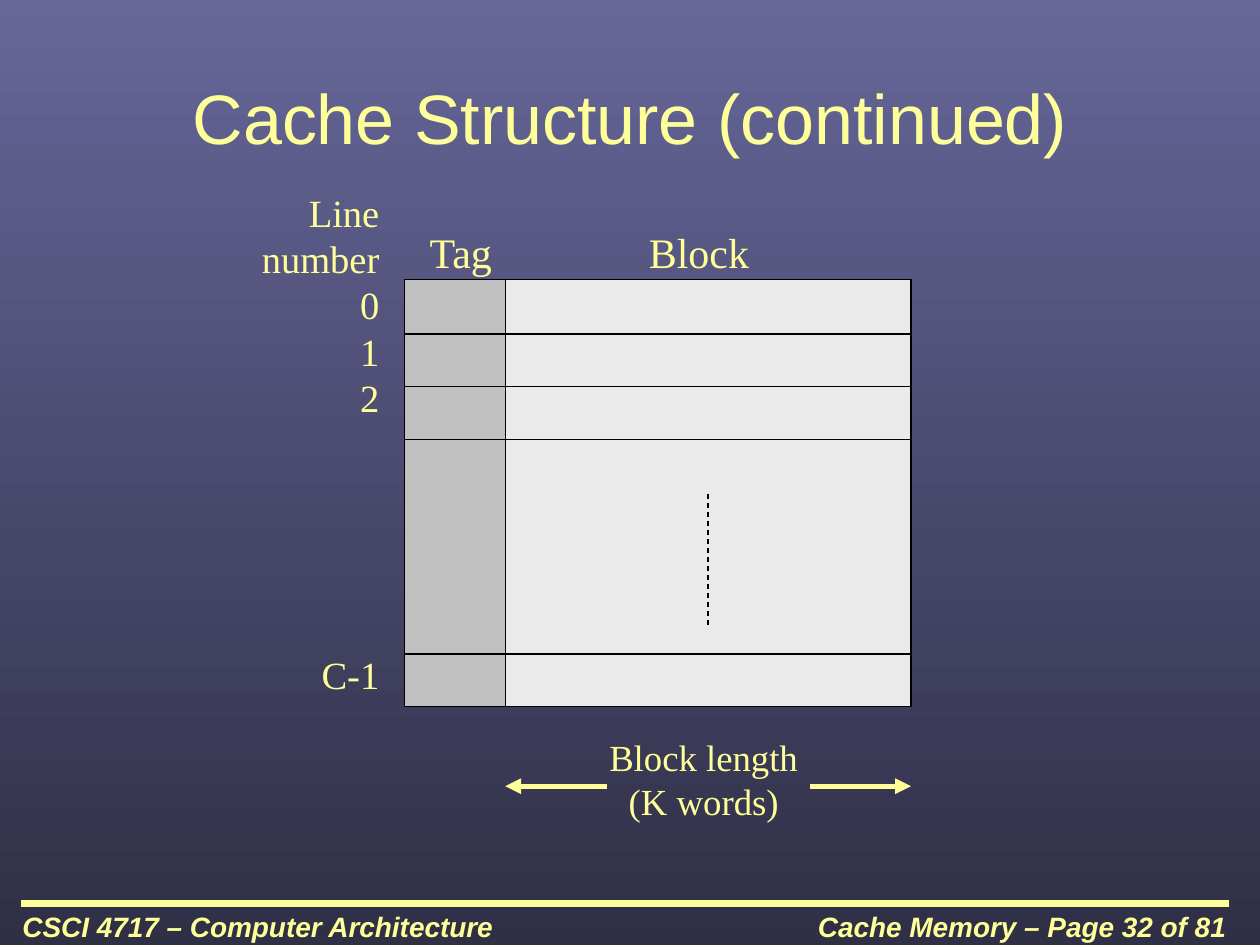
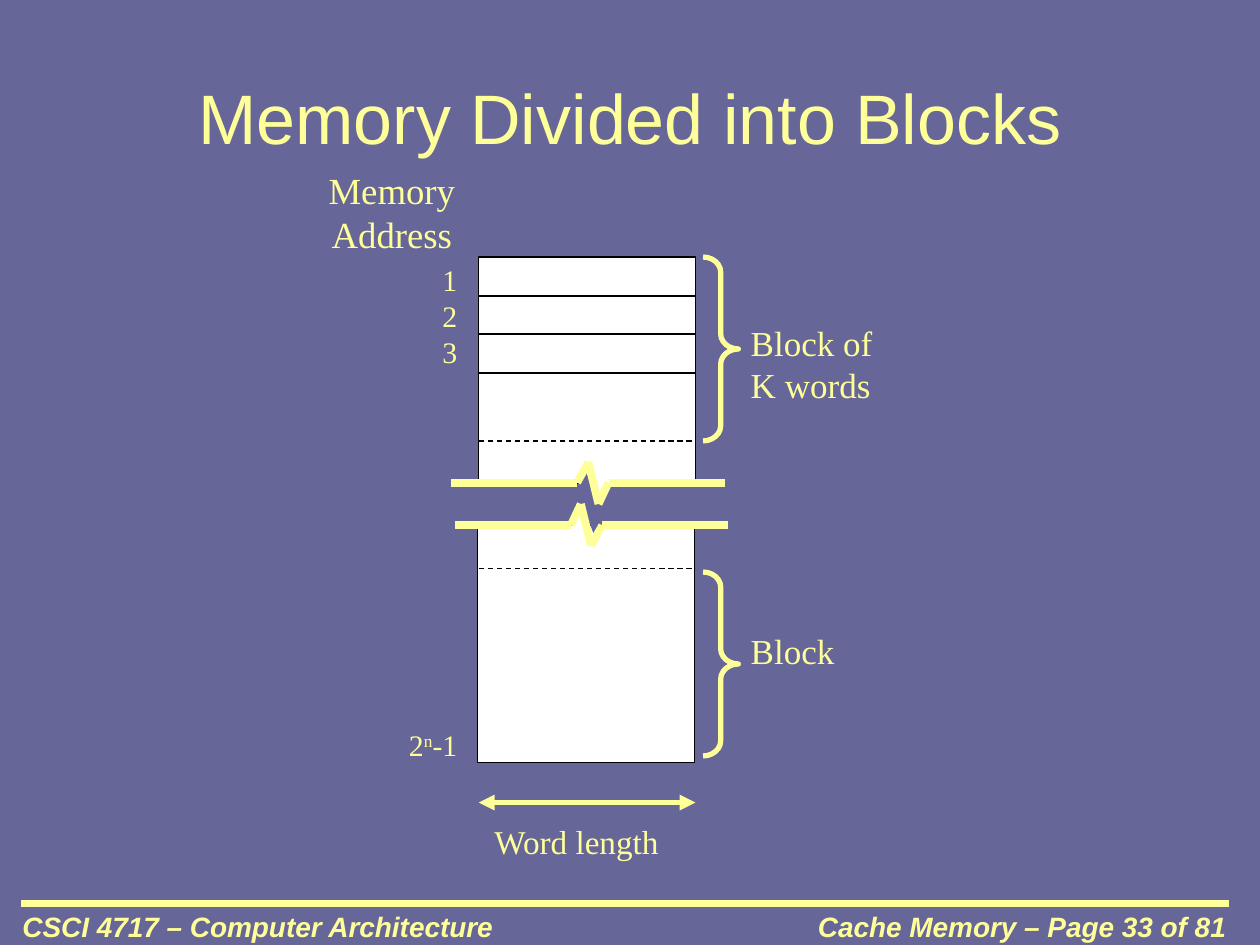
from lxml import etree
from pptx import Presentation
from pptx.dml.color import RGBColor
from pptx.enum import dml, shapes, text
from pptx.oxml.ns import qn
from pptx.util import Inches, Pt

COLORS = {
    "ink": "FFFF99",
    "back": "666699",
    "back_dark": "2F2F46",
    "edge": "000000",
    "tag": "C0C0C0",
    "block": "EAEAEA",
    "memory": "FFFFFF",
}
SERIF, SANS = "Times New Roman", "Arial"
LEFT, CENTER, RIGHT = text.PP_ALIGN.LEFT, text.PP_ALIGN.CENTER, text.PP_ALIGN.RIGHT
LINE_PITCH = 1.2
RGB = {name: RGBColor.from_string(value) for name, value in COLORS.items()}


def add_text(page, words, at, size, font=SERIF, align=LEFT, inset=(0, 0),
             anchor=text.MSO_ANCHOR.TOP, strong=False):
    """Add one paragraph per line; words after '^' up to the next '^' are raised."""
    box = page.shapes.add_textbox(*map(Inches, at))
    frame = box.text_frame
    frame.word_wrap = True
    frame.vertical_anchor = anchor
    frame.margin_left = frame.margin_right = Inches(inset[0])
    frame.margin_top = frame.margin_bottom = Inches(inset[1])
    for row, line in enumerate(words.split("\n")):
        para = frame.paragraphs[0] if row == 0 else frame.add_paragraph()
        para.alignment = align
        para.line_spacing = Pt(LINE_PITCH * size)
        for part, piece in enumerate(line.split("^")):
            span = para.add_run()
            span.text = piece
            span.font.name = font
            span.font.size = Pt(size)
            span.font.color.rgb = RGB["ink"]
            if strong:
                span.font.bold = span.font.italic = True
            if part % 2:
                span.font._element.set("baseline", "30000")


def add_line(page, start, end, color="edge", width=0.75, dashed=False, arrows=()):
    """Draw a straight line; arrows may name headEnd and tailEnd."""
    line = page.shapes.add_connector(
        shapes.MSO_CONNECTOR.STRAIGHT, *map(Inches, (*start, *end)))
    line.line.color.rgb = RGB[color]
    line.line.width = Pt(width)
    if dashed:
        line.line.dash_style = dml.MSO_LINE.DASH
    properties = line._element.spPr
    for arrow in arrows:
        etree.SubElement(properties.find(qn("a:ln")), qn("a:" + arrow), type="triangle")
    etree.SubElement(properties, qn("a:effectLst"))


deck = Presentation()
deck.slide_width, deck.slide_height = Inches(10), Inches(7.5)

# Title, footer rule and footer texts of every page
pages = []
for number, title in ((32, "Cache Structure (continued)"), (33, "Memory Divided into Blocks")):
    page = deck.slides.add_slide(deck.slide_layouts[6])
    pages.append(page)
    add_line(page, (0.17, 7.17), (9.75, 7.17), color="ink", width=4)
    for left, words, align in ((4.75, f"Cache Memory – Page {number} of 81", RIGHT),
                               (0.08, "CSCI 4717 – Computer Architecture", LEFT)):
        add_text(page, words, (left, 7.17, 5.08, 0.33), 16, font=SANS, align=align,
                 inset=(0.1, 0.05), strong=True)
    add_text(page, title, (0.5, 0.3, 9, 1.25), 40, font=SANS, align=CENTER,
             inset=(0.1, 0.05), anchor=text.MSO_ANCHOR.MIDDLE)
cache, memory = pages

# Backgrounds
fade = cache.background.fill
fade.gradient()
fade.gradient_angle = 270
for stop, position, color in zip(fade.gradient_stops, (0, 1), ("back", "back_dark")):
    stop.position = position
    stop.color.rgb = RGB[color]
memory.background.fill.solid()
memory.background.fill.fore_color.rgb = RGB["back"]

# Cache columns and the two halves of memory
for page, at, color in (
    (cache, (3.21, 2.22, 0.81, 3.39), "tag"),
    (cache, (4.01, 2.22, 3.22, 3.39), "block"),
    (memory, (3.79, 4.17, 1.72, 1.88), "memory"),
    (memory, (3.8, 2.04, 1.72, 1.8), "memory"),
):
    area = page.shapes.add_shape(shapes.MSO_SHAPE.RECTANGLE, *map(Inches, at))
    area.shadow.inherit = False
    area.fill.solid()
    area.fill.fore_color.rgb = RGB[color]
    area.line.color.rgb = RGB["edge"]
    area.line.width = Pt(0.75)

# Cache structure: rows, labels and block length
for y in (2.65, 3.07, 3.49, 5.19):
    add_line(cache, (3.21, y), (7.23, y))
add_line(cache, (5.62, 3.92), (5.62, 4.97), dashed=True)
add_text(cache, "Line\nnumber\n0\n1\n2", (2, 1.5, 1.01, 1.85), 22, align=RIGHT)
add_text(cache, "C-1", (2, 5.17, 1.01, 0.37), 22, align=RIGHT)
add_text(cache, "Tag", (3.41, 1.8, 0.8, 0.4), 24)
add_text(cache, "Block", (5.15, 1.8, 1.2, 0.4), 24)
add_text(cache, "Block length\n(K words)", (4, 5.83, 3.17, 0.85), 21, align=CENTER)
for inner, outer in ((4.82, 4.01), (6.43, 7.23)):
    add_line(cache, (inner, 6.24), (outer, 6.24), color="ink", width=3, arrows=["tailEnd"])

# Memory: words, block limits and labels
for y, dashed in ((2.35, False), (2.65, False), (2.96, False), (3.5, True), (4.51, True)):
    add_line(memory, (3.8, y), (5.52, y), dashed=dashed)
for top in (2.04, 4.54):
    brace = memory.shapes.add_shape(
        shapes.MSO_SHAPE.RIGHT_BRACE, *map(Inches, (5.58, top, 0.28, 1.46)))
    brace.shadow.inherit = False
    brace.adjustments[0] = 0.43
    brace.fill.background()
    brace.line.color.rgb = RGB["ink"]
    brace.line.width = Pt(3)
add_text(memory, "Block of\nK words", (5.86, 2.5, 1.72, 0.77), 20, inset=(0.1, 0.05))
add_text(memory, "Block", (5.86, 4.95, 1.38, 0.46), 20, inset=(0.1, 0.05))
add_text(memory, "Word length", (3.8, 6.52, 1.55, 0.31), 19, align=CENTER)
add_line(memory, (5.52, 6.37), (3.8, 6.37), color="ink", width=3,
         arrows=["headEnd", "tailEnd"])
add_text(memory, "Memory Address", (2.25, 1.33, 1.72, 0.77), 21, align=CENTER)
add_text(memory, "1\n2\n3", (2.77, 2.08, 0.86, 0.85), 17, align=RIGHT)
add_text(memory, "2^n^-1", (2.77, 5.77, 0.86, 0.29), 17, align=RIGHT)

# Break marks: the lower one is the upper one turned by half
upper_break = [(3.58, 3.83), (4.58, 3.83), (4.67, 3.67), (4.75, 4), (4.83, 3.83), (5.75, 3.83)]
lower_break = [(9.36 - x, 8 - y) for x, y in upper_break]
breaks = [list(zip(points, points[1:])) for points in (upper_break, lower_break)]
for segments in breaks:
    for start, end in (segments[0], segments[-1]):
        add_line(memory, start, end, color="ink", width=4.5)
for left, top, turn, color in ((4.56, 3.72, 0, "back"), (4.68, 3.75, 180, "memory"),
                               (4.64, 4.03, 180, "back"), (4.52, 4, 0, "memory")):
    notch = memory.shapes.add_shape(
        shapes.MSO_SHAPE.ISOSCELES_TRIANGLE, *map(Inches, (left, top, 0.17, 0.25)))
    notch.shadow.inherit = False
    notch.rotation = turn
    notch.fill.solid()
    notch.fill.fore_color.rgb = RGB[color]
    notch.line.fill.background()
for segments in breaks:
    for start, end in segments[1:-1]:
        add_line(memory, start, end, color="ink", width=4.5)

deck.save("out.pptx")
